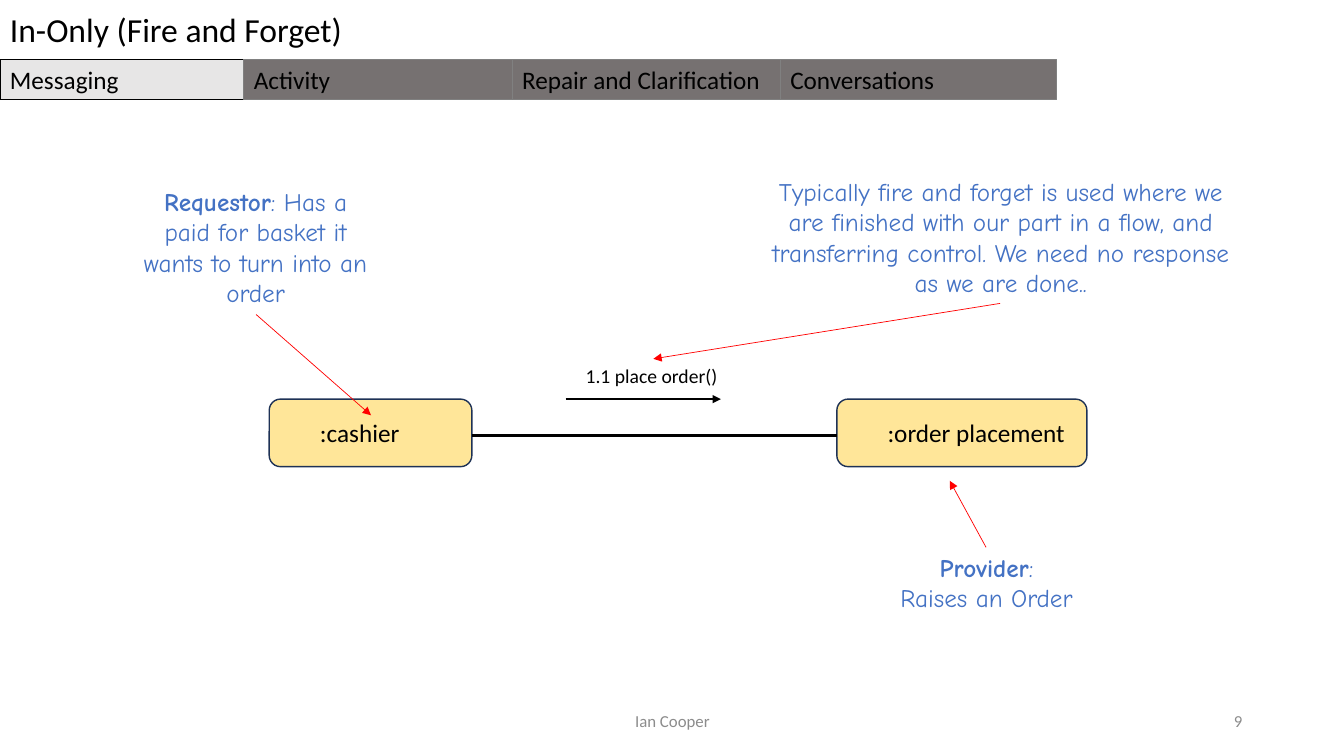
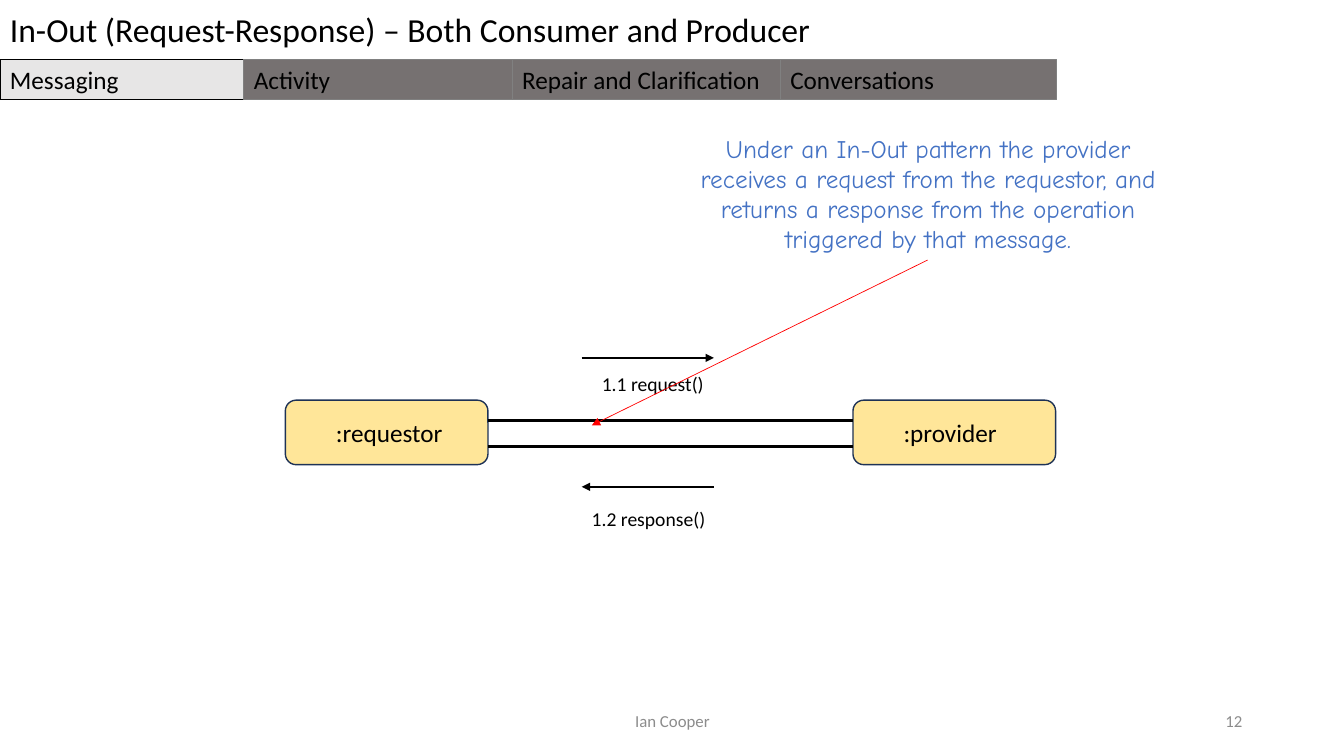
import pptx
import pptx.dml.color
import pptx.enum.shapes
import pptx.enum.text
import pptx.oxml.ns
import pptx.util
import lxml.etree

Inches = pptx.util.Inches
Pt = pptx.util.Pt
ALIGN = pptx.enum.text.PP_ALIGN
ANCHOR = pptx.enum.text.MSO_ANCHOR
SHAPE = pptx.enum.shapes.MSO_SHAPE

COLOURS = {
    "text": "000000",
    "background": "FFFFFF",
    "footer": "8C8C8C",
    "participant": "FFE699",
    "participant_line": "1E3256",
    "note": "4472C4",
    "pointer": "FF0000",
    "tab": "767171",
    "tab_line": "808080",
    "active_tab": "E7E6E6",
}
BODY_FONT = "Calibri"
NOTE_FONT = "Comic Neue"
SLIDE_WIDTH = 13.33
TABS = [
    ("Messaging", 2.42),
    ("Activity", 2.66),
    ("Repair and Clarification", 2.66),
    ("Conversations", 2.74),
]
ACTIVE_TAB = "Messaging"


def rgb(name):
    return pptx.dml.color.RGBColor.from_string(COLOURS[name])


def write_text(box, paragraphs, size, colour="text", font=BODY_FONT,
               align=ALIGN.LEFT, anchor=ANCHOR.TOP):
    frame = box.text_frame
    frame.word_wrap = True
    frame.vertical_anchor = anchor
    for index, runs in enumerate(paragraphs):
        para = frame.add_paragraph() if index else frame.paragraphs[0]
        para.alignment = align
        for text, bold in runs:
            span = para.add_run()
            span.text = text
            span.font.size = Pt(size)
            span.font.name = font
            span.font.bold = bold
            span.font.color.rgb = rgb(colour)


def add_text(page, area, paragraphs, size, **style):
    box = page.shapes.add_textbox(*map(Inches, area))
    write_text(box, paragraphs, size, **style)


def add_block(page, kind, area, fill, line=None, line_width=0.75):
    block = page.shapes.add_shape(kind, *map(Inches, area))
    block.shadow.inherit = False
    block.fill.solid()
    block.fill.fore_color.rgb = rgb(fill)
    if line:
        block.line.color.rgb = rgb(line)
        block.line.width = Pt(line_width)
    else:
        block.line.fill.background()
    return block


def add_line(page, start, end, colour, width, arrow=False):
    line = page.shapes.add_connector(
        pptx.enum.shapes.MSO_CONNECTOR.STRAIGHT, *map(Inches, start + end))
    line.line.color.rgb = rgb(colour)
    line.line.width = Pt(width)
    qn = pptx.oxml.ns.qn
    if arrow:
        outline = line.line._get_or_add_ln()
        lxml.etree.SubElement(outline, qn("a:tailEnd"), type="triangle")
    lxml.etree.SubElement(line._element.spPr, qn("a:effectLst"))


def add_link(page, start, end):
    add_line(page, start, end, "text", 2.5)


def add_message(page, start, end, label, label_area):
    add_line(page, start, end, "text", 1.5, arrow=True)
    add_text(page, label_area, [[(label, False)]], 14)


def add_participant(page, area, name):
    block = add_block(page, SHAPE.ROUNDED_RECTANGLE, area,
                      "participant", "participant_line", 1)
    block.text_frame.margin_left = Inches(0.47)
    write_text(block, [[(name, False)]], 18, anchor=ANCHOR.MIDDLE)


def add_note(page, area, paragraphs, pointer_start, pointer_end):
    add_text(page, area, paragraphs, 18, colour="note", font=NOTE_FONT,
             align=ALIGN.CENTER)
    add_line(page, pointer_start, pointer_end, "pointer", 0.5, arrow=True)


def add_tabs(page):
    left = 0
    for name, width in TABS:
        active = name == ACTIVE_TAB
        tab = add_block(page, SHAPE.RECTANGLE, (left, 0.59, width, 0.4),
                        "active_tab" if active else "tab",
                        "text" if active else "tab_line")
        write_text(tab, [[(name, False)]], 18)
        left += width


def add_page(deck, title, number):
    page = deck.slides.add_slide(deck.slide_layouts[6])
    band = add_block(page, SHAPE.RECTANGLE, (0, -0.01, SLIDE_WIDTH, 0.61),
                     "background")
    band.text_frame.margin_top = band.text_frame.margin_bottom = Inches(0.1)
    write_text(band, [[(title, False)]], 24)
    add_tabs(page)
    for left, width, text, align in (
        (4.42, 4.5, "Ian Cooper", ALIGN.CENTER),
        (9.42, 3, str(number), ALIGN.RIGHT),
    ):
        add_text(page, (left, 6.95, width, 0.4), [[(text, False)]], 12,
                 colour="footer", align=align, anchor=ANCHOR.MIDDLE)
    return page


def build_in_only(deck):
    page = add_page(deck, "In-Only (Fire and Forget)", 9)
    add_participant(page, (2.67, 3.96, 2.01, 0.67), ":cashier")
    add_participant(page, (8.3, 3.96, 2.48, 0.67), ":order placement")
    add_link(page, (4.68, 4.32), (8.3, 4.32))
    add_message(page, (5.61, 3.96), (7.15, 3.96),
                "1.1 place order()", (5.71, 3.56, 1.54, 0.34))
    add_note(page, (7.55, 1.7, 4.75, 1.31),
             [[("Typically fire and forget is used where we are finished "
                "with our part in a flow, and transferring control. We need "
                "no response as we are done..", False)]],
             (9.92, 3.01), (6.48, 3.56))
    add_note(page, (8.57, 5.43, 2.43, 0.71),
             [[("Provider", True), (":", False)],
              [("Raises an Order", False)]],
             (9.78, 5.43), (9.42, 4.77))
    add_note(page, (1.32, 1.8, 2.43, 1.31),
             [[("Requestor", True),
               (": Has a paid for basket it wants to turn into an order",
                False)]],
             (2.54, 3.12), (3.68, 4.12))


def build_in_out(deck):
    page = add_page(
        deck, "In-Out (Request-Response) – Both Consumer and Producer", 12)
    add_participant(page, (2.83, 3.97, 2.01, 0.64), ":requestor")
    add_participant(page, (8.46, 3.97, 2.01, 0.64), ":provider")
    for top in (4.17, 4.43):
        add_link(page, (4.84, top), (8.46, top))
    add_message(page, (5.77, 3.55), (7.08, 3.55),
                "1.1 request()", (5.87, 3.64, 1.31, 0.34))
    add_message(page, (7.08, 4.83), (5.77, 4.83),
                "1.2 response()", (5.77, 4.98, 1.73, 0.34))
    add_note(page, (6.67, 1.27, 5.07, 1.31),
             [[("Under an In-Out pattern the provider receives a request "
                "from the requestor, and returns a response from the "
                "operation triggered by that message.", False)]],
             (9.2, 2.58), (5.87, 4.22))


def main():
    deck = pptx.Presentation()
    deck.slide_width = Inches(SLIDE_WIDTH)
    deck.slide_height = Inches(7.5)
    build_in_only(deck)
    build_in_out(deck)
    deck.save("out.pptx")


if __name__ == "__main__":
    main()
